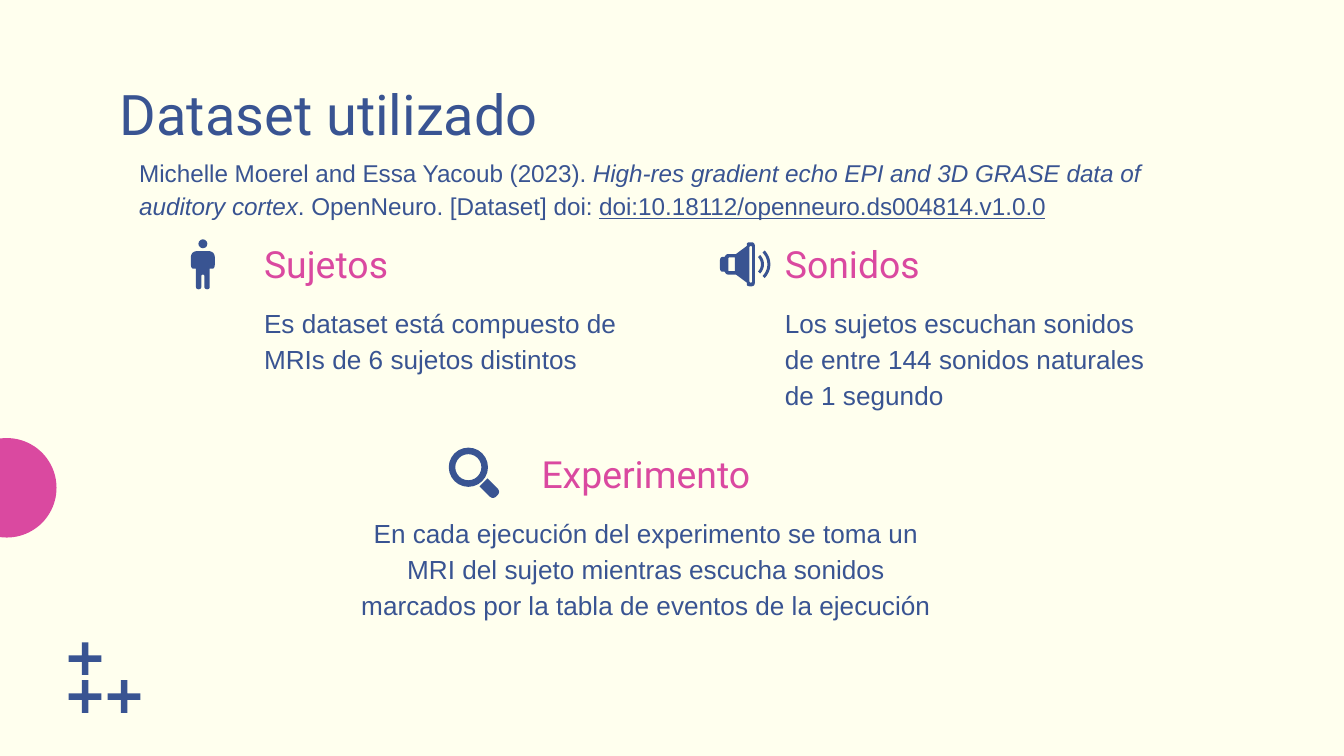
from math import cos, radians, sin

from pptx import Presentation
from pptx.dml.color import RGBColor
from pptx.enum.shapes import MSO_SHAPE
from pptx.enum.text import MSO_ANCHOR, MSO_AUTO_SIZE, PP_ALIGN
from pptx.util import Pt

CREAM, BLUE, PINK = "FFFFEE", "395492", "DA49A0"
HEADING_WIDTH, HEADING_HEIGHT = 211.7, 39.6
BODY_OFFSET, BODY_HEIGHT = 33.8, 73.4


def paint(fill, color):
    fill.solid()
    fill.fore_color.rgb = RGBColor.from_string(color)


def finish(shape, color):
    paint(shape.fill, color)
    shape.line.fill.background()
    shape.shadow.inherit = False


def write(frame, *runs, size=14, font="Arial", color=BLUE, align=PP_ALIGN.LEFT,
          anchor=MSO_ANCHOR.TOP, spacing=1.15):
    """Fill a frame with one paragraph; each run is (text, style)."""
    frame.word_wrap = True
    frame.auto_size = MSO_AUTO_SIZE.NONE
    frame.vertical_anchor = anchor
    frame.margin_left = frame.margin_right = Pt(7.2)
    frame.margin_top = frame.margin_bottom = Pt(7.2)
    paragraph = frame.paragraphs[0]
    paragraph.alignment = align
    paragraph.line_spacing = spacing
    for text, style in runs:
        run = paragraph.add_run()
        run.text = text
        run.font.name, run.font.size = font, Pt(size)
        run.font.color.rgb = RGBColor.from_string(color)
        run.font.italic = style == "italic"
        run.font.underline = style == "underline"


def add_text(slide, box, *runs, **style):
    write(slide.shapes.add_textbox(*map(Pt, box)).text_frame, *runs, **style)


def add_preset(slide, preset, box, color, adjustment=None):
    shape = slide.shapes.add_shape(preset, *map(Pt, box))
    if adjustment is not None:
        shape.adjustments[0] = adjustment
    finish(shape, color)


def rounded(corners, steps=8):
    """Turn (x, y, radius) corners into the points of a rounded polygon."""
    points = []
    for i, (x, y, radius) in enumerate(corners):
        if not radius:
            points.append((x, y))
            continue
        ends = []
        for nx, ny, _ in (corners[i - 1], corners[(i + 1) % len(corners)]):
            length = ((nx - x) ** 2 + (ny - y) ** 2) ** 0.5
            share = min(radius / length, 0.5)
            ends.append((x + (nx - x) * share, y + (ny - y) * share))
        (ax, ay), (bx, by) = ends
        for step in range(steps + 1):
            t = step / steps
            points.append(((1 - t) ** 2 * ax + 2 * t * (1 - t) * x + t * t * bx,
                           (1 - t) ** 2 * ay + 2 * t * (1 - t) * y + t * t * by))
    return points


def arc_band(x, y, radius, thickness):
    """Points of a band that opens to the left, from -45 to 45 degrees."""
    angles = [radians(a) for a in range(-45, 46, 5)]
    outer, inner = radius + thickness / 2, radius - thickness / 2
    return ([(x + outer * cos(a), y + outer * sin(a)) for a in angles]
            + [(x + inner * cos(a), y + inner * sin(a)) for a in reversed(angles)])


def add_outline(slide, left, top, *contours):
    placed = [[(Pt(left + x), Pt(top + y)) for x, y in c] for c in contours]
    builder = slide.shapes.build_freeform(*placed[0][0])
    builder.add_line_segments(placed[0][1:], close=True)
    for contour in placed[1:]:
        builder.move_to(*contour[0])
        builder.add_line_segments(contour[1:], close=True)
    finish(builder.convert_to_shape(), BLUE)


def person_icon(slide, left, top):
    add_preset(slide, MSO_SHAPE.OVAL, (left + 4, top, 4.8, 4.8), BLUE)
    add_outline(slide, left, top, rounded([
        (0, 6.4, 3.6), (12.8, 6.4, 3.6), (12.8, 15.8, 2.7), (10.1, 15.8, 0),
        (10.1, 26.8, 1.5), (7.2, 26.8, 1.5), (7.2, 19, 0.7), (5.6, 19, 0.7),
        (5.6, 26.8, 1.5), (2.7, 26.8, 1.5), (2.7, 15.8, 0), (0, 15.8, 2.7)]))


def speaker_icon(slide, left, top):
    body = rounded([
        (0, 7.9, 2.4), (2.5, 7.9, 0), (3.5, 6.3, 1), (8.6, 6.3, 0),
        (14.4, 2, 0), (14.4, 0, 2), (18.7, 0, 2), (18.7, 23.6, 2),
        (14.4, 23.6, 2), (14.4, 21.6, 0), (8.6, 17.3, 0), (3.5, 17.3, 1),
        (2.5, 15.7, 0), (0, 15.7, 2.4)])
    grip = rounded([(4.5, 8.1, 0.6), (8, 8.1, 0), (8, 15.5, 0), (4.5, 15.5, 0.6)])
    rim = rounded([(15.8, 2, 0.8), (17.3, 2, 0.8),
                   (17.3, 21.6, 0.8), (15.8, 21.6, 0.8)])
    add_outline(slide, left, top, body, grip, rim)
    for radius in (6.2, 9.6):
        add_outline(slide, left, top, arc_band(16.6, 11.8, radius, 1.6))


def magnifier_icon(slide, left, top):
    add_preset(slide, MSO_SHAPE.DONUT, (left, top, 21, 21), BLUE, 0.167)
    add_outline(slide, left, top, rounded([
        (20.8, 16.5, 0), (28, 23.7, 2.9), (23.7, 28, 2.9), (16.5, 20.8, 0)]))


def add_topic(slide, left, top, width, heading, body, align=PP_ALIGN.LEFT):
    inset = (width - HEADING_WIDTH) / 2
    add_text(slide, (left, top + BODY_OFFSET, width, BODY_HEIGHT),
             (body, None), align=align)
    add_text(slide, (left + inset, top, HEADING_WIDTH, HEADING_HEIGHT),
             (heading, None), size=20, font="Roboto", color=PINK,
             align=align, anchor=MSO_ANCHOR.BOTTOM)


def add_decoration(slide):
    add_preset(slide, MSO_SHAPE.OVAL, (-23, 234.7, 53.3, 53.3), PINK)
    for column, row in ((0, 1), (0, 0), (1, 1)):
        box = (33.7 + 20.9 * column, 341 + 20.3 * row, 23.8, 23.8)
        add_preset(slide, MSO_SHAPE.MATH_PLUS, box, BLUE, 0.144)


def add_title(slide, left, top, width, height):
    title = slide.shapes.title
    title.left, title.top = Pt(left), Pt(top)
    title.width, title.height = Pt(width), Pt(height)
    write(title.text_frame, ("Dataset utilizado", None), size=30,
          font="Roboto", spacing=1)


def main():
    presentation = Presentation()
    presentation.slide_width, presentation.slide_height = Pt(720), Pt(405)
    slide = presentation.slides.add_slide(presentation.slide_layouts[5])
    paint(slide.background.fill, CREAM)
    add_decoration(slide)
    add_title(slide, 56.9, 35.3, 607, 45.4)

    # Dataset citation
    add_text(slide, (67.5, 75, 557.5, 48.5),
             ("Michelle Moerel and Essa Yacoub (2023). ", None),
             ("High-res gradient echo EPI and 3D GRASE data of auditory cortex",
              "italic"),
             (". OpenNeuro. [Dataset] doi: ", None),
             ("doi:10.18112/openneuro.ds004814.v1.0.0", "underline"), size=13)

    # Topics with their icons
    add_topic(slide, 134.4, 121, HEADING_WIDTH, "Sujetos",
              "Es dataset está compuesto de MRIs de 6 sujetos distintos")
    person_icon(slide, 102.3, 128.2)
    add_topic(slide, 413.4, 121, HEADING_WIDTH, "Sonidos",
              "Los sujetos escuchan sonidos de entre 144 sonidos naturales "
              "de 1 segundo")
    speaker_icon(slide, 385.7, 129.8)
    add_topic(slide, 180.6, 233.5, 331, "Experimento",
              "En cada ejecución del experimento se toma un MRI del sujeto "
              "mientras escucha sonidos marcados por la tabla de eventos "
              "de la ejecución", align=PP_ALIGN.CENTER)
    magnifier_icon(slide, 240.4, 239.8)

    presentation.save("out.pptx")


if __name__ == "__main__":
    main()
